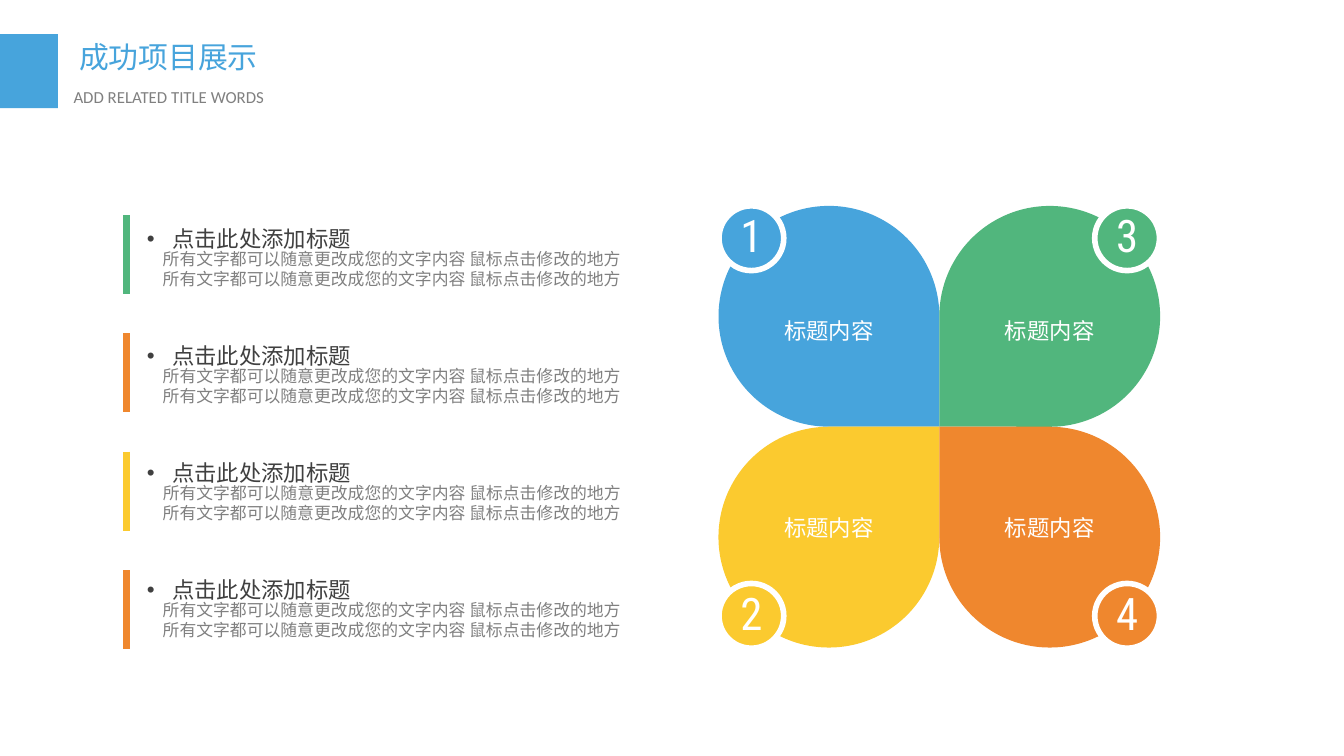
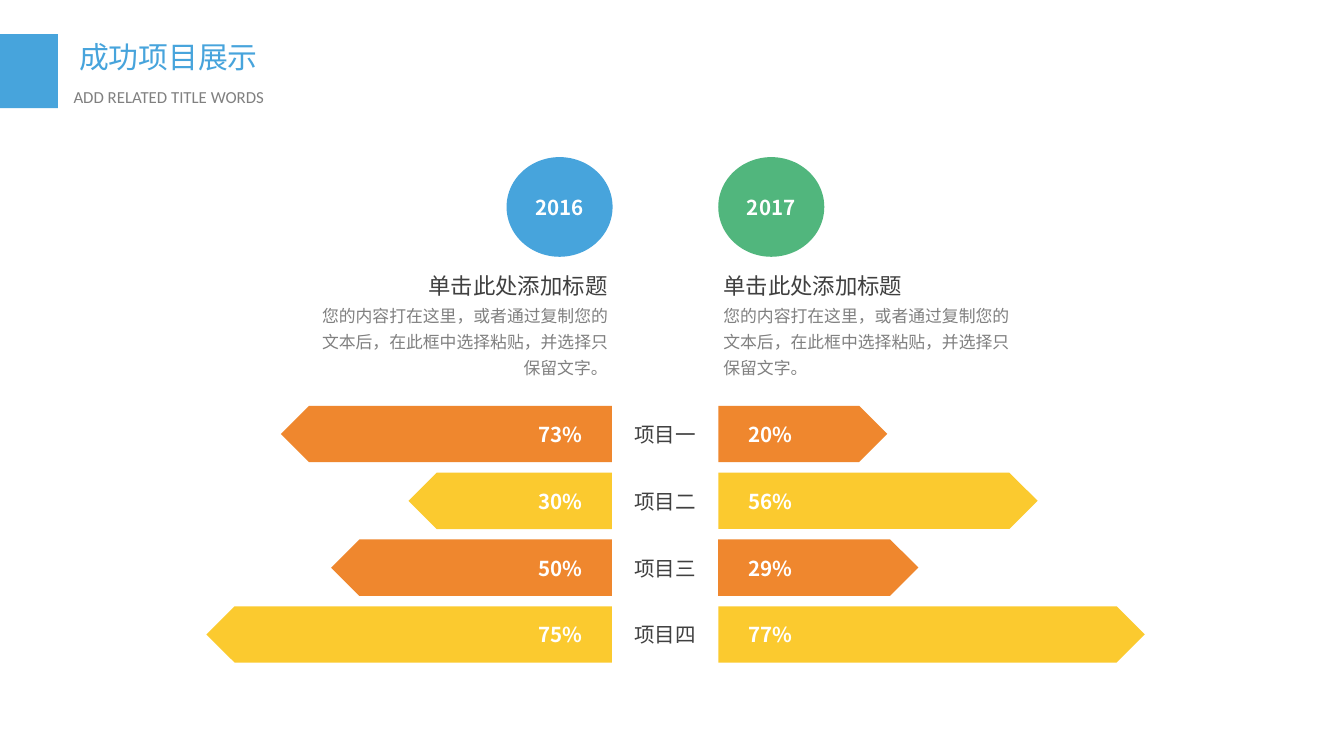
from dataclasses import dataclass

from lxml import etree
from pptx import Presentation
from pptx.dml.color import RGBColor
from pptx.enum.shapes import MSO_CONNECTOR, MSO_SHAPE
from pptx.enum.text import MSO_ANCHOR, MSO_AUTO_SIZE, PP_ALIGN
from pptx.oxml.ns import qn
from pptx.util import Pt

RECT, OVAL = MSO_SHAPE.RECTANGLE, MSO_SHAPE.OVAL
TEARDROP, ARROW_BAR = MSO_SHAPE.TEAR, MSO_SHAPE.PENTAGON
STRAIGHT = MSO_CONNECTOR.STRAIGHT
TOP, MIDDLE = MSO_ANCHOR.TOP, MSO_ANCHOR.MIDDLE
LEFT, CENTER, RIGHT = PP_ALIGN.LEFT, PP_ALIGN.CENTER, PP_ALIGN.RIGHT
NO_AUTOFIT = MSO_AUTO_SIZE.NONE

BLUE, GREEN, YELLOW, ORANGE = "47A4DC", "51B67D", "FBCA2F", "EF872E"
WHITE, GRAY, DARK = "FFFFFF", "808080", "404040"
CJK, LATIN, CONDENSED = "Noto Sans CJK SC", "Calibri", "Roboto Condensed"

TITLE_INSETS = (5.4, 2.7)
LABEL_INSETS = (5.3, 2.7)
NO_INSETS = (0, 0)


@dataclass(frozen=True)
class Style:
    size: float
    color: str
    font: str = CJK
    bold: bool = False
    align: PP_ALIGN = LEFT
    spacing: float = 1.0
    bullet: bool = False


@dataclass(frozen=True)
class Box:
    left: float
    top: float
    width: float
    height: float

    def points(self) -> list:
        return [Pt(v) for v in (self.left, self.top, self.width, self.height)]


@dataclass(frozen=True)
class Item:
    color: str
    detail: str


@dataclass(frozen=True)
class Petal:
    number: str
    color: str
    column: int
    row: int
    rotation: int


@dataclass(frozen=True)
class Project:
    name: str
    color: str
    left_value: str
    left_width: float
    right_value: str
    right_width: float


@dataclass(frozen=True)
class Year:
    name: str
    color: str
    circle_left: float
    text_left: float
    align: PP_ALIGN


TITLE = Style(16, BLUE)
SUBTITLE = Style(9, GRAY, LATIN)
ITEM_HEADING = Style(12, DARK, LATIN, spacing=1.5, bullet=True)
ITEM_DETAIL = Style(9, GRAY, align=RIGHT)
BADGE = Style(24, WHITE, CONDENSED, align=CENTER, spacing=0.9)
PETAL_LABEL = Style(12, WHITE, CONDENSED, align=CENTER, spacing=0.9)
VALUE = Style(11, WHITE, bold=True, align=CENTER)
PROJECT_NAME = Style(11, DARK, align=CENTER)

DETAIL = "所有文字都可以随意更改成您的文字内容 鼠标点击修改的地方"
TWO_LINES = f"{DETAIL}\n{DETAIL}"
ITEMS = [
    Item(GREEN, TWO_LINES),
    Item(ORANGE, TWO_LINES),
    Item(YELLOW, DETAIL * 2),
    Item(ORANGE, TWO_LINES),
]
PETALS = [
    Petal("1", BLUE, 0, 0, 90),
    Petal("3", GREEN, 1, 0, 180),
    Petal("2", YELLOW, 0, 1, 0),
    Petal("4", ORANGE, 1, 1, 270),
]
PROJECTS = [
    Project("项目一", ORANGE, "73%", 177.3, "20%", 90.5),
    Project("项目二", YELLOW, "30%", 109, "56%", 171),
    Project("项目三", ORANGE, "50%", 150.4, "29%", 107.2),
    Project("项目四", YELLOW, "75%", 217.2, "77%", 228.5),
]
LEFT_EDGE, RIGHT_EDGE = 327.8, 384.8
CIRCLE_WIDTH, YEAR_TEXT_WIDTH = 56.8, 162
YEARS = [
    Year("2016", BLUE, LEFT_EDGE + 0.4 - CIRCLE_WIDTH,
         LEFT_EDGE + 0.4 - YEAR_TEXT_WIDTH, RIGHT),
    Year("2017", GREEN, RIGHT_EDGE, RIGHT_EDGE, LEFT),
]
YEAR_HEADING = "单击此处添加标题"
YEAR_DETAIL = "您的内容打在这里，或者通过复制您的文本后，在此框中选择粘贴，并选择只保留文字。"


def rgb(color: str) -> RGBColor:
    return RGBColor.from_string(color)


def add_bullet(p) -> None:
    pPr = p._p.get_or_add_pPr()
    pPr.set("marL", str(Pt(13.5)))
    pPr.set("indent", str(-Pt(13.5)))
    etree.SubElement(pPr, qn("a:buFont"), typeface="Arial")
    etree.SubElement(pPr, qn("a:buChar"), char="•")


def format_paragraph(p, style: Style) -> None:
    if style.bullet:
        add_bullet(p)
    p.alignment = style.align
    p.line_spacing = style.spacing
    p.space_before = Pt(0)
    for r in p.runs:
        r.font.size = Pt(style.size)
        r.font.bold = style.bold
        r.font.name = style.font
        r.font.color.rgb = rgb(style.color)
        etree.SubElement(r._r.get_or_add_rPr(), qn("a:ea"), typeface=CJK)


def write(sp, text: str, *styles: Style, insets=NO_INSETS, anchor=TOP,
          wrap: bool = True) -> None:
    """Fill a shape; the last style serves all remaining paragraphs."""
    tf = sp.text_frame
    tf.text = text
    tf.auto_size = NO_AUTOFIT
    tf.word_wrap = wrap
    tf.vertical_anchor = anchor
    tf.margin_left = tf.margin_right = Pt(insets[0])
    tf.margin_top = tf.margin_bottom = Pt(insets[1])
    for i, p in enumerate(tf.paragraphs):
        format_paragraph(p, styles[min(i, len(styles) - 1)])


def add_text(s, box: Box, text: str, *styles: Style, **options) -> None:
    write(s.shapes.add_textbox(*box.points()), text, *styles, **options)


def add_filled(s, kind, box: Box, color: str, rotation: float = 0):
    sp = s.shapes.add_shape(kind, *box.points())
    sp.shadow.inherit = False
    sp.fill.solid()
    sp.fill.fore_color.rgb = rgb(color)
    sp.line.fill.background()
    sp.rotation = rotation
    return sp


def add_rule(s, x: float, top: float, bottom: float, color: str) -> None:
    line = s.shapes.add_connector(STRAIGHT, Pt(x), Pt(top), Pt(x), Pt(bottom))
    line.line.color.rgb = rgb(color)
    line.line.width = Pt(4)
    etree.SubElement(line._element.spPr, qn("a:effectLst"))


def add_titled_slide(prs):
    s = prs.slides.add_slide(prs.slide_layouts[0])
    add_filled(s, RECT, Box(0, 18.3, 31, 39.6), BLUE)
    headings = [
        (Box(37, 18.2, 145, 25), "成功项目展示", TITLE),
        (Box(34, 43.9, 160.5, 16.5), "ADD RELATED TITLE WORDS", SUBTITLE),
    ]
    for sp, (box, text, style) in zip(s.placeholders, headings):
        sp.left, sp.top, sp.width, sp.height = box.points()
        write(sp, text, style, insets=TITLE_INSETS)
    return s


def add_item(s, index: int, item: Item) -> None:
    top = 115.2 + 62.7 * index
    bar_top = 115.2 + 63.4 * index
    add_text(s, Box(79.7, top + 18, 252.5, 30), item.detail, ITEM_DETAIL)
    add_text(s, Box(78.7, top, 253.5, 18), "点击此处添加标题", ITEM_HEADING,
             anchor=MIDDLE)
    add_rule(s, 67.8, bar_top, bar_top + 42.4, item.color)


def add_petal(s, petal: Petal) -> None:
    size, badge_size = 118.3, 34.7
    left = 384.9 + size * petal.column
    top = 110.3 + size * petal.row
    badge_left = 385.2 + 201.3 * petal.column
    badge_top = 110.3 + 202.3 * petal.row
    add_filled(s, TEARDROP, Box(left, top, size, size), petal.color,
               petal.rotation)
    badge = add_filled(s, OVAL,
                       Box(badge_left, badge_top, badge_size, badge_size),
                       petal.color)
    badge.line.color.rgb = rgb(WHITE)
    badge.line.width = Pt(3)
    write(badge, petal.number, BADGE, anchor=MIDDLE)
    add_text(s, Box(left, 169 + 106 * petal.row, size, 17.5), "标题内容",
             PETAL_LABEL, anchor=MIDDLE)


def add_project(s, index: int, project: Project) -> None:
    top, height = 217.4 + 35.8 * index, 30.2
    add_filled(s, ARROW_BAR,
               Box(LEFT_EDGE - project.left_width, top,
                   project.left_width, height), project.color, 180)
    add_filled(s, ARROW_BAR,
               Box(RIGHT_EDGE, top, project.right_width, height),
               project.color)
    labels = [
        (282.6, 35.3, project.left_value, VALUE),
        (395.3, 35.3, project.right_value, VALUE),
        (333.9, 44.6, project.name, PROJECT_NAME),
    ]
    for left, width, text, style in labels:
        add_text(s, Box(left, top + 6, width, 19.4), text, style,
                 insets=LABEL_INSETS, wrap=False)


def add_year(s, year: Year) -> None:
    circle = add_filled(s, OVAL,
                        Box(year.circle_left, 84.2, CIRCLE_WIDTH, 53.4),
                        year.color)
    write(circle, year.name, VALUE, insets=LABEL_INSETS, anchor=MIDDLE)
    add_text(s, Box(year.text_left, 140.4, YEAR_TEXT_WIDTH, 64),
             f"{YEAR_HEADING}\n{YEAR_DETAIL}",
             Style(12, DARK, align=year.align, spacing=1.3),
             Style(9, GRAY, align=year.align, spacing=1.3),
             insets=(2.7, 1.35))


def build_petal_slide(prs) -> None:
    s = add_titled_slide(prs)
    for i, item in enumerate(ITEMS):
        add_item(s, i, item)
    for petal in PETALS:
        add_petal(s, petal)


def build_comparison_slide(prs) -> None:
    s = add_titled_slide(prs)
    for i, project in enumerate(PROJECTS):
        add_project(s, i, project)
    for year in YEARS:
        add_year(s, year)


def main() -> None:
    prs = Presentation()
    prs.slide_width, prs.slide_height = Pt(720), Pt(405)
    build_petal_slide(prs)
    build_comparison_slide(prs)
    prs.save("out.pptx")


if __name__ == "__main__":
    main()
